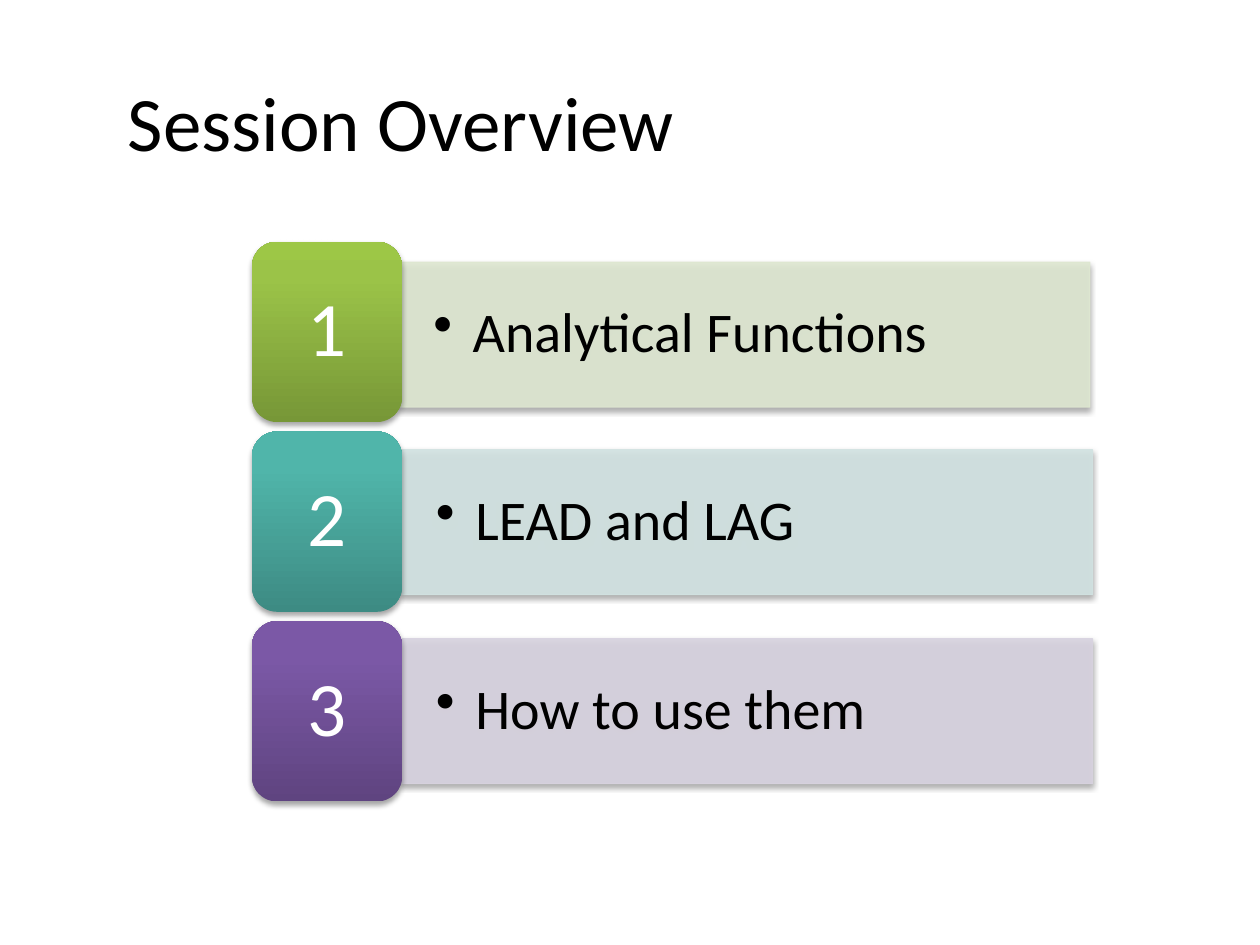
from copy import deepcopy
from lxml.etree import SubElement
from pptx import Presentation
from pptx.dml.color import RGBColor
from pptx.enum.shapes import MSO_SHAPE
from pptx.enum.text import MSO_ANCHOR, PP_ALIGN
from pptx.oxml import parse_xml
from pptx.oxml.ns import nsdecls, qn
from pptx.util import Pt

COLORS = {"text": "000000", "number": "FFFFFF", "shadow": "000000"}
TOPICS = [
    ("Analytical Functions", 228.2, 149.8, "DEE7D1", ("779737", "9BC348", "9DC746")),
    ("LEAD and LAG", 229.7, 257, "D2E3E2", ("3D8B83", "50B5AA", "4EB8AC")),
    ("How to use them", 229.7, 365, "D8D3E0", ("5F4480", "7B58A6", "7C57A8")),
]
TILE_TOP, TILE_PITCH = 138.2, 108.4


def write_text(shape, text, size, color, inset_x, inset_y):
    text_frame = shape.text_frame
    text_frame.word_wrap = True
    text_frame.vertical_anchor = MSO_ANCHOR.MIDDLE
    text_frame.margin_left = text_frame.margin_right = Pt(inset_x)
    text_frame.margin_top = text_frame.margin_bottom = Pt(inset_y)
    text_frame.text = text
    paragraph = text_frame.paragraphs[0]
    paragraph.alignment = PP_ALIGN.LEFT
    font = paragraph.runs[0].font
    font.name = "Calibri"
    font.size = Pt(size)
    font.color.rgb = RGBColor.from_string(color)
    return paragraph


def add_shadowed_shape(kind, left, top, width, height):
    shape = slide.shapes.add_shape(kind, Pt(left), Pt(top), Pt(width), Pt(height))
    shape.shadow.inherit = False
    effects = shape.element.spPr.find(qn("a:effectLst"))
    effects.append(parse_xml(
        f'<a:outerShdw {nsdecls("a")} blurRad="{Pt(3.1)}" dist="{Pt(1.8)}" '
        f'dir="5400000" rotWithShape="0"><a:srgbClr val="{COLORS["shadow"]}">'
        '<a:alpha val="35000"/></a:srgbClr></a:outerShdw>'))
    return shape


presentation = Presentation()
presentation.slide_width = Pt(720)
presentation.slide_height = Pt(540)
slide = presentation.slides.add_slide(presentation.slide_layouts[6])

for index, (topic, left, top, bar_color, tile_colors) in enumerate(TOPICS):
    bar = add_shadowed_shape(MSO_SHAPE.RECTANGLE, left, top, 394.6, 82.8)
    bar.fill.solid()
    bar.fill.fore_color.rgb = RGBColor.from_string(bar_color)
    bar.line.color.rgb = RGBColor.from_string(bar_color)
    bar.line.width = Pt(0.75)
    for color in bar.element.spPr.iter(qn("a:srgbClr")):
        if color.get("val") == bar_color:
            SubElement(color, qn("a:alpha"), val="90000")
    paragraph = write_text(bar, topic, 32, COLORS["text"], 19.4, 10.1)
    paragraph.line_spacing = 0.9
    properties = paragraph.runs[0].font._element.getparent().getparent().get_or_add_pPr()
    properties.set("marL", str(Pt(22.5)))
    properties.set("indent", str(-Pt(22.5)))
    SubElement(properties, qn("a:buChar"), char="•")

    tile = add_shadowed_shape(MSO_SHAPE.ROUNDED_RECTANGLE,
                              144, TILE_TOP + index * TILE_PITCH, 85.7, 103)
    tile.line.fill.background()
    tile.fill.gradient()
    tile.fill.gradient_angle = 90
    stop_list = tile.element.spPr.find(".//" + qn("a:gsLst"))
    stop_list.append(deepcopy(stop_list[-1]))
    for stop, position, color in zip(tile.fill.gradient_stops, (0, 0.8, 1), tile_colors):
        stop.position = position
        stop.color.rgb = RGBColor.from_string(color)
    paragraph = write_text(tile, str(index + 1), 44, COLORS["number"], 13, 6.5)
    paragraph.alignment = PP_ALIGN.CENTER
    paragraph.line_spacing = 0.9

title = slide.shapes.add_textbox(Pt(66), Pt(24), Pt(636), Pt(90))
write_text(title, "Session Overview", 44, COLORS["text"], 7.2, 3.6)

presentation.save("out.pptx")
